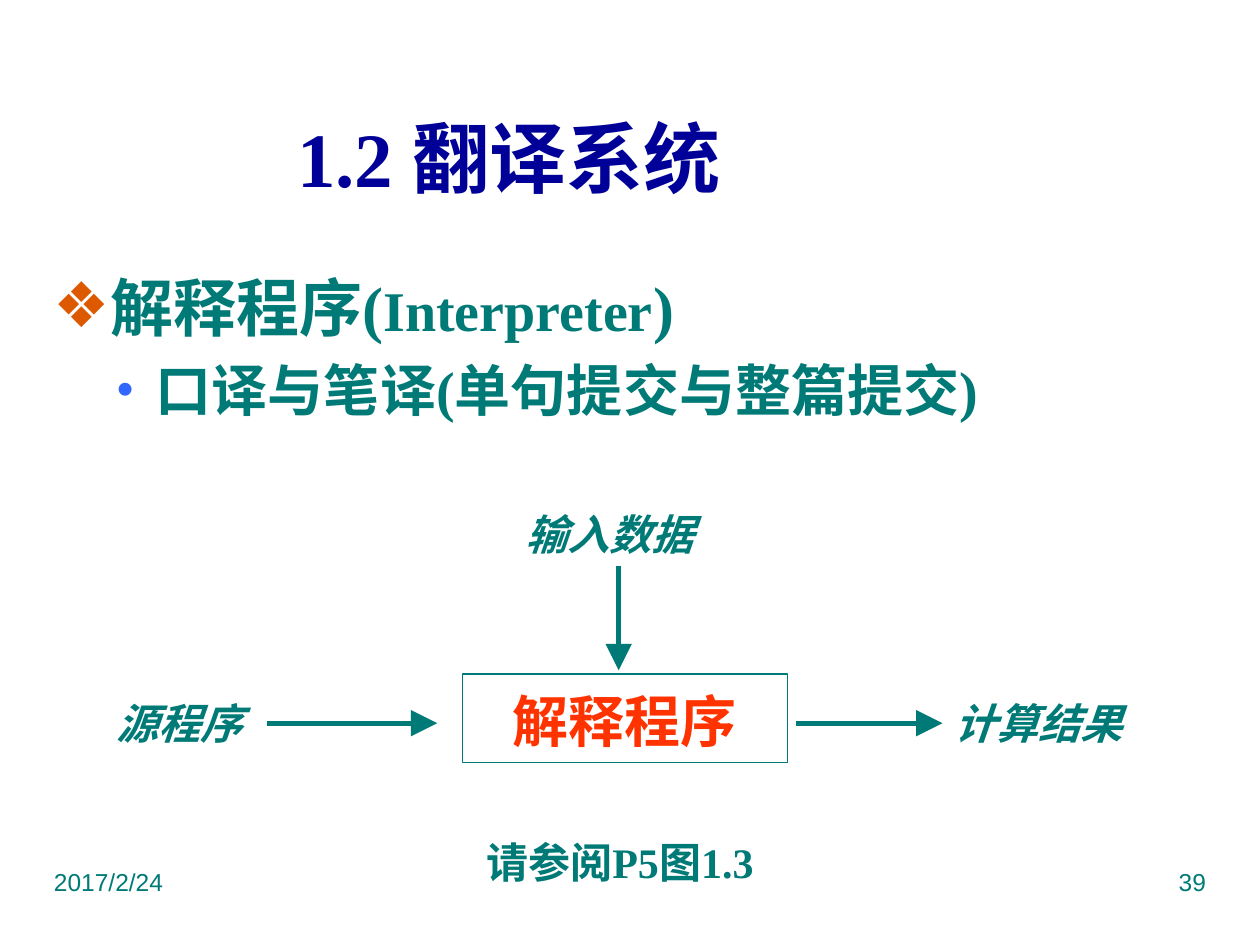
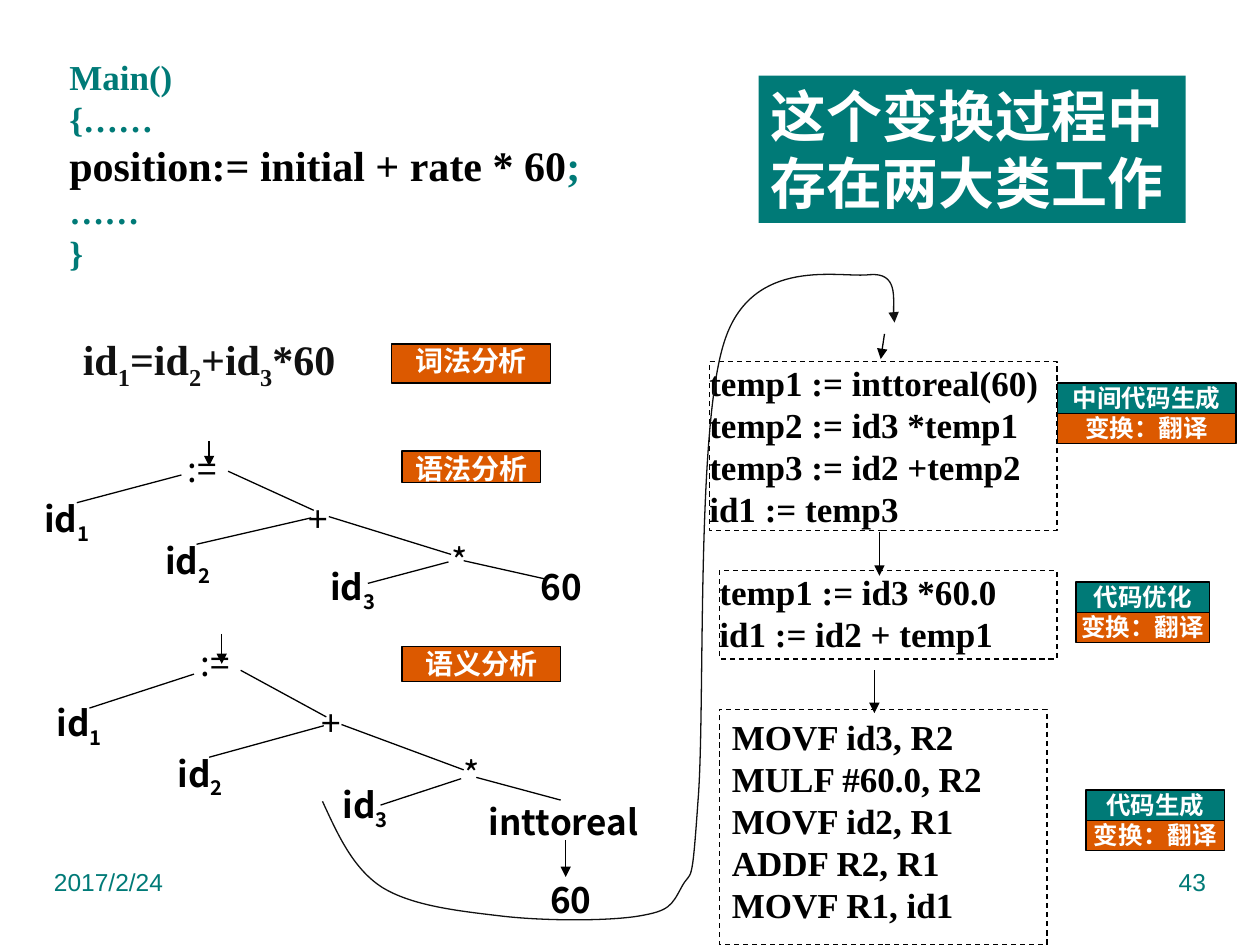
from dataclasses import dataclass

from lxml import etree
from pptx import Presentation
from pptx.dml.color import RGBColor
from pptx.enum.dml import MSO_LINE
from pptx.enum.shapes import MSO_CONNECTOR, MSO_SHAPE
from pptx.enum.text import MSO_ANCHOR, PP_ALIGN
from pptx.oxml.ns import qn
from pptx.util import Pt

PX = 9144
LEFT, MID, RIGHT, JUST = PP_ALIGN.LEFT, PP_ALIGN.CENTER, PP_ALIGN.RIGHT, PP_ALIGN.JUSTIFY
RECT, LINE, DASH = MSO_SHAPE.RECTANGLE, MSO_CONNECTOR.STRAIGHT, MSO_LINE.DASH
TOP, CENTRE = MSO_ANCHOR.TOP, MSO_ANCHOR.MIDDLE


@dataclass(frozen=True)
class Theme:
    teal: str = "007A77"
    navy: str = "000099"
    orange: str = "DC5900"
    blue: str = "3366FF"
    red: str = "FF3300"
    ink: str = "111111"
    black: str = "000000"
    white: str = "FFFFFF"
    serif: str = "Times New Roman"
    sans: str = "Arial"
    asian: str = "Noto Sans CJK SC"
    japan: str = "Noto Sans CJK JP"
    title: int = 44
    head: int = 36
    big: int = 32
    mid: int = 24
    code: int = 20
    tag: int = 16
    small: int = 14


T = Theme()


def emu(*vals):
    return [round(v * PX) for v in vals]


def rgb(code):
    return RGBColor.from_string(code)


def style(font, size, color, face, bold, slant):
    font.size, font.bold, font.italic = Pt(size), bold, slant
    font.color.rgb = rgb(color)
    font.name = face
    east = face if face.startswith("Noto") else T.asian
    etree.SubElement(font._element, qn("a:ea")).set("typeface", east)


def bullet(para, mark, color, pct, left, hang):
    props = para._p.get_or_add_pPr()
    props.set("marL", str(left * PX))
    props.set("indent", str(-hang * PX))
    tint = etree.SubElement(props, qn("a:buClr"))
    etree.SubElement(tint, qn("a:srgbClr")).set("val", color)
    etree.SubElement(props, qn("a:buSzPct")).set("val", str(pct * 1000))
    etree.SubElement(props, qn("a:buFont")).set("typeface", T.sans)
    etree.SubElement(props, qn("a:buChar")).set("char", mark)


def fill_para(para, runs, size=T.mid, color=T.teal, face=T.serif, bold=True,
              slant=False, align=LEFT, lead=None):
    para.alignment = align
    if lead:
        para.line_spacing = lead
    style(para.font, size, color, face, bold, slant)
    for words, look in [(runs, {})] if isinstance(runs, str) else runs:
        run = para.add_run()
        run.text = words
        if "size" in look:
            run.font.size = Pt(look["size"])
        if "color" in look:
            run.font.color.rgb = rgb(look["color"])
        if "drop" in look:
            run.font._element.set("baseline", "-25000")


def write(shape, rows, pad=True, anchor=TOP, **look):
    frame = shape.text_frame
    frame.word_wrap, frame.vertical_anchor = True, anchor
    side, edge = emu(10, 5) if pad else (0, 0)
    frame.margin_left = frame.margin_right = side
    frame.margin_top = frame.margin_bottom = edge
    for i, row in enumerate(rows):
        para = frame.add_paragraph() if i else frame.paragraphs[0]
        fill_para(para, row, **look)
    return shape


def label(slide, box, *rows, **look):
    return write(slide.shapes.add_textbox(*emu(*box)), rows, **look)


def block(slide, box, *rows, fill=None, edge=None, dash=False, **look):
    shape = slide.shapes.add_shape(RECT, *emu(*box))
    shape.shadow.inherit = False
    if fill:
        shape.fill.solid()
        shape.fill.fore_color.rgb = rgb(fill)
    else:
        shape.fill.background()
    if edge:
        shape.line.color.rgb = rgb(edge)
        shape.line.width = Pt(0.75)
        if dash:
            shape.line.dash_style = DASH
    else:
        shape.line.fill.background()
    return write(shape, rows, **look)


def tip(line, size="med"):
    end = etree.SubElement(line._get_or_add_ln(), qn("a:tailEnd"))
    end.set("type", "triangle")
    end.set("w", size)
    end.set("len", size)


def link(slide, ends, color=T.black, width=0.75, head=None):
    line = slide.shapes.add_connector(LINE, *emu(*ends))
    line.line.color.rgb = rgb(color)
    line.line.width = Pt(width)
    if head:
        tip(line.line, head)
    etree.SubElement(line._element.spPr, qn("a:effectLst"))
    return line


def curve(slide, points):
    start, *rest = [emu(*p) for p in points]
    pen = slide.shapes.build_freeform(*start)
    pen.add_line_segments(rest, close=False)
    shape = pen.convert_to_shape()
    steps = list(shape._element.iter(qn("a:lnTo")))
    for i in range(0, len(steps), 3):
        bend = etree.Element(qn("a:cubicBezTo"))
        steps[i].addprevious(bend)
        for step in steps[i:i + 3]:
            bend.append(step[0])
            step.getparent().remove(step)
    shape.shadow.inherit = False
    shape.fill.background()
    shape.line.color.rgb = rgb(T.ink)
    shape.line.width = Pt(0.75)
    tip(shape.line)


def sub(words):
    first, *rest = words.split("_")
    runs = [(first, {})]
    for part in rest:
        runs.append((part[0], {"drop": True}))
        if part[1:]:
            runs.append((part[1:], {}))
    return runs


def footer(slide, number):
    look = dict(size=T.small, face=T.sans, bold=False)
    label(slide, (33, 683, 250, 52), "2017/2/24", **look)
    label(slide, (717, 683, 250, 52), number, align=RIGHT, **look)


def points(slide, box):
    frame = label(slide, box).text_frame
    para = frame.paragraphs[0]
    bullet(para, "❖", T.orange, 100, 38, 38)
    fill_para(para, [("解释程序(", {}), ("Interpreter", {"size": T.big}), (")", {})], size=T.head)
    para = frame.add_paragraph()
    para.level = 1
    bullet(para, "•", T.blue, 85, 81, 31)
    fill_para(para, "口译与笔译(单句提交与整篇提交)", size=T.big)
    para.space_before = Pt(6.4)


def flow(slide, x, y):
    def name(left, top, wide, words):
        return label(slide, (x + left, y + top, wide, 50), words, slant=True)

    def arrow(*ends):
        spots = [v + (y if i % 2 else x) for i, v in enumerate(ends)]
        return link(slide, spots, T.teal, 3, "lg")

    source = name(0, 150, 129, "源程序")
    data = name(324, 0, 168, "输入数据")
    result = name(665, 150, 169, "计算结果")
    block(slide, (x + 284, y + 136, 258, 70), "解释程序", edge=T.teal, size=T.big,
          color=T.red, face=T.japan, align=MID, lead=1.1)
    arrow(129, 175, 264, 175).begin_connect(source, 3)
    arrow(549, 175, 665, 175).end_connect(result, 1)
    arrow(408, 50, 408, 133).begin_connect(data, 2)


def tree(slide, x, y, grow):
    def down(v):
        return y + round(v * grow)

    look = dict(size=T.code, color=T.black, face=T.asian, pad=False, align=JUST)
    for left, top, wide, sign in ((114, 0, 36, ":="), (210, 40, 14, "+"), (323, 73, 14, "*")):
        label(slide, (x + left, down(top), wide, 33), sign, bold=False, **look)
    for left, top, leaf in ((0, 40, "id_1"), (96, 73, "id_2"), (227, 94, "id_3")):
        label(slide, (x + left, down(top), 55, 33), sub(leaf), **look)
    for a, b, c, d in ((257, 108, 321, 91), (333, 90, 400, 105), (121, 77, 212, 56),
                       (226, 55, 323, 85), (26, 44, 109, 22), (146, 19, 214, 50)):
        link(slide, (x + a, down(b), x + c, down(d)))
    link(slide, (x + 131, down(-5), x + 131, down(15)), head="med")


def trees(slide, x, y):
    leaf = dict(size=T.code, color=T.black, face=T.asian, pad=False)
    tree(slide, x, y, 1)
    label(slide, (x + 394, y + 94, 55, 33), "60", align=JUST, **leaf)
    tree(slide, x + 10, y + 154, 1.2)
    label(slide, (x + 353, y + 280, 128, 43), "inttoreal", align=JUST, **leaf)
    label(slide, (x + 391, y + 342, 54, 33), "60", align=MID, **leaf)
    link(slide, (x + 414, y + 312, x + 414, y + 341), head="med")


def tags(slide):
    look = dict(color=T.white, edge=T.black, align=MID, pad=False)
    for words, box in (("词法分析", (311, 273, 126, 31)),
                       ("语法分析", (319, 358, 110, 25)),
                       ("语义分析", (319, 513, 126, 28))):
        block(slide, box, words, fill=T.orange, size=T.tag, **look)
    for words, x, y, wide in (("中间代码生成", 839, 304, 142),
                              ("代码优化", 854, 462, 106),
                              ("代码生成", 862, 627, 110)):
        for i, (line, fill) in enumerate(((words, T.teal), ("变换：翻译", T.orange))):
            block(slide, (x, y + 24 * i, wide, 24), line, fill=fill, size=T.small, **look)


def codes(slide):
    look = dict(edge=T.black, dash=True, size=T.code, color=T.black, align=JUST)
    block(slide, (563, 287, 276, 134), "temp1 := inttoreal(60)", "temp2 := id3 *temp1",
          "temp3 := id2 +temp2", "id1 := temp3", pad=False, **look)
    block(slide, (571, 453, 268, 70), "temp1 := id3 *60.0", "id1 := id2 + temp1",
          pad=False, **look)
    block(slide, (571, 563, 260, 187), "MOVF id3, R2", "MULF #60.0, R2",
          "MOVF id2, R1", "ADDF R2, R1", "MOVF R1, id1", **look)
    for ends in ((702, 265, 699, 285), (698, 422, 698, 457), (694, 532, 694, 566)):
        link(slide, ends, head="med")


def source(slide, box):
    line = [("position:= initial + rate * 60", {"size": T.mid, "color": T.black}),
            (";", {"size": T.mid})]
    label(slide, box, "Main()", "{……", line, "……", "}",
          size=T.code, align=JUST, pad=False)


def system(slide):
    footer(slide, "39")
    label(slide, (83, 83, 642, 83), "1.2 翻译系统", size=T.title, color=T.navy,
          align=MID, anchor=CENTRE)
    points(slide, (33, 208, 934, 170))
    flow(slide, 83, 399)
    label(slide, (358, 659, 268, 50), "请参阅P5图1.3", align=MID)


def stages(slide):
    footer(slide, "43")
    codes(slide)
    source(slide, (55, 44, 461, 173))
    label(slide, (43, 260, 246, 47), sub("id_1=id_2+id_3*60"), color=T.ink, align=MID)
    trees(slide, 35, 355)
    curve(slide, ((256, 636), (268, 662), (280, 689), (303, 704), (327, 719), (364, 723),
                  (398, 727), (432, 731), (483, 731), (507, 727), (531, 723), (533, 719),
                  (541, 704), (549, 689), (549, 708), (554, 636), (560, 564), (552, 341),
                  (575, 271), (597, 202), (668, 221), (690, 218), (713, 216), (708, 249),
                  (710, 256)))
    block(slide, (602, 60, 339, 117), "这个变换过程中存在两大类工作", fill=T.teal,
          size=T.big, color=T.white, face=T.sans)
    tags(slide)


def main():
    deck = Presentation()
    deck.slide_width, deck.slide_height = emu(1000, 750)
    for draw in (system, stages):
        draw(deck.slides.add_slide(deck.slide_layouts[6]))
    deck.save("out.pptx")


if __name__ == "__main__":
    main()
